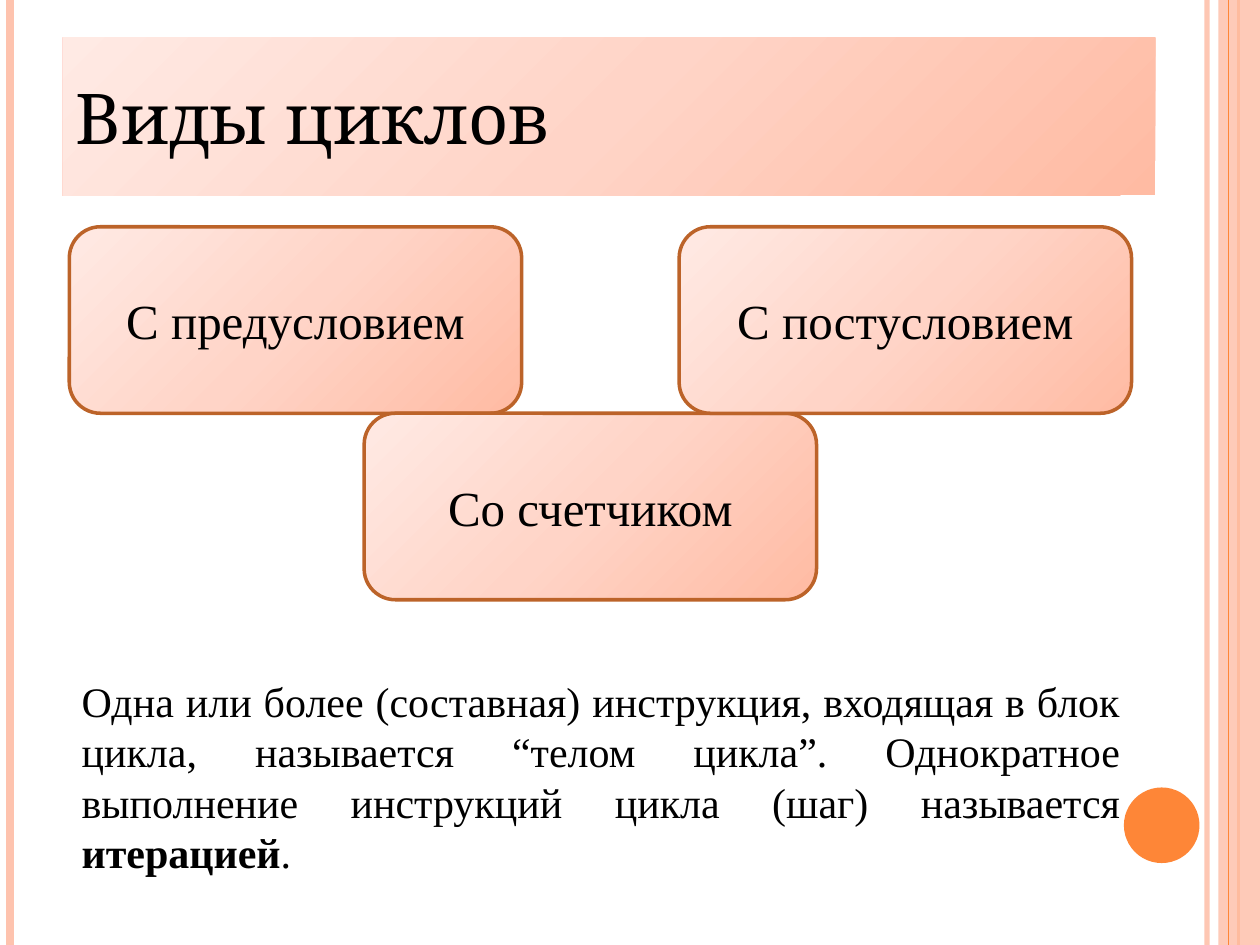
from copy import deepcopy

from lxml.etree import SubElement
from pptx import Presentation
from pptx.dml.color import RGBColor
from pptx.enum.shapes import MSO_CONNECTOR, MSO_SHAPE
from pptx.enum.text import MSO_ANCHOR, MSO_AUTO_SIZE, PP_ALIGN
from pptx.oxml.ns import qn
from pptx.util import Inches, Pt

THEME = {
    "peach": RGBColor.from_string("FEC3AE"),
    "orange": RGBColor.from_string("FE8637"),
    "border": RGBColor.from_string("BC6329"),
    "text": RGBColor.from_string("000000"),
    "gradient": ["FFBBA3", "FFD4C7", "FFEAE4"],
    "title": {"name": "Noto Serif", "size": Pt(40)},
    "label": {"name": "Times New Roman", "size": Pt(28)},
    "body": {"name": "Times New Roman", "size": Pt(24)},
}

prs = Presentation()
prs.slide_width, prs.slide_height = Inches(10), Inches(7.5)
slide = prs.slides.add_slide(prs.slide_layouts[6])


def add_panel(kind, box, color=None, border=None):
    """Add a shape with a solid colour, or the theme gradient if none is given."""
    panel = slide.shapes.add_shape(kind, *[Inches(v) for v in box])
    panel.shadow.inherit = False
    if color is not None:
        panel.fill.solid()
        panel.fill.fore_color.rgb = color
    else:
        panel.fill.gradient()
        panel.fill.gradient_angle = 135
        stop_list = next(panel._element.iter(qn("a:gsLst")))
        stop_list.insert(1, deepcopy(stop_list[0]))
        for i, stop in enumerate(panel.fill.gradient_stops):
            stop.position = i / 2
            stop.color.rgb = RGBColor.from_string(THEME["gradient"][i])
    if border is not None:
        panel.line.color.rgb = border
        panel.line.width = Pt(2)
    else:
        panel.line.fill.background()
    return panel


def add_text(frame, runs, style, align):
    """Write (text, bold) runs into the first paragraph of a text frame."""
    frame.word_wrap = True
    paragraph = frame.paragraphs[0]
    paragraph.alignment = align
    for text, bold in runs:
        run = paragraph.add_run()
        run.text = text
        for key, value in {**THEME[style], "bold": bold}.items():
            setattr(run.font, key, value)
        run.font.color.rgb = THEME["text"]


# Side stripes: x, colour, width; the band lies between the third and fourth
stripes = [
    (9.58, "peach", 3),
    (0.08, "peach", 4.5),
    (9.83, "orange", 1.5),
    (9.75, "orange", 0.75),
]
translucent = []
for x, color, width in stripes:
    if x == 9.75:
        band = add_panel(MSO_SHAPE.RECTANGLE, (9.67, 0, 0.33, 7.5), THEME["peach"])
        translucent.append((band, 87))
    stripe = slide.shapes.add_connector(
        MSO_CONNECTOR.STRAIGHT, Inches(x), 0, Inches(x), prs.slide_height)
    stripe.line.color.rgb = THEME[color]
    stripe.line.width = Pt(width)
    SubElement(stripe._element.spPr, qn("a:effectLst"))
    if x == 9.58:
        translucent.append((stripe, 93))

for part, percent in translucent:
    color_node = next(part._element.spPr.iter(qn("a:srgbClr")))
    SubElement(color_node, qn("a:alpha"), val=str(percent * 1000))

add_panel(MSO_SHAPE.OVAL, (8.92, 6.25, 0.6, 0.6), THEME["orange"])

title = add_panel(MSO_SHAPE.RECTANGLE, (0.5, 0.3, 8.67, 1.25))
title.text_frame.vertical_anchor = MSO_ANCHOR.MIDDLE
add_text(title.text_frame, [("Виды циклов", False)], "title", PP_ALIGN.LEFT)

# Loop kinds
loop_width, loop_height, loop_top = 3.59, 1.48, 1.8
loops = [
    ("С предусловием", 0.55, 0),
    ("Со счетчиком", 2.89, 1),
    ("С постусловием", 5.39, 0),
]
for label, left, row in loops:
    box = (left, loop_top + row * loop_height, loop_width, loop_height)
    loop = add_panel(MSO_SHAPE.ROUNDED_RECTANGLE, box, border=THEME["border"])
    loop.text_frame.vertical_anchor = MSO_ANCHOR.MIDDLE
    add_text(loop.text_frame, [(label, False)], "label", PP_ALIGN.CENTER)

definition = slide.shapes.add_textbox(
    Inches(0.55), Inches(5.31), Inches(8.44), Inches(1.72))
definition.text_frame.auto_size = MSO_AUTO_SIZE.SHAPE_TO_FIT_TEXT
add_text(definition.text_frame, [
    ("Одна или более (составная) инструкция, входящая в блок цикла, "
     "называется “телом цикла”. Однократное выполнение инструкций "
     "цикла (шаг) называется ", False),
    ("итерацией", True),
    (".", False),
], "body", PP_ALIGN.JUSTIFY)

prs.save("out.pptx")
